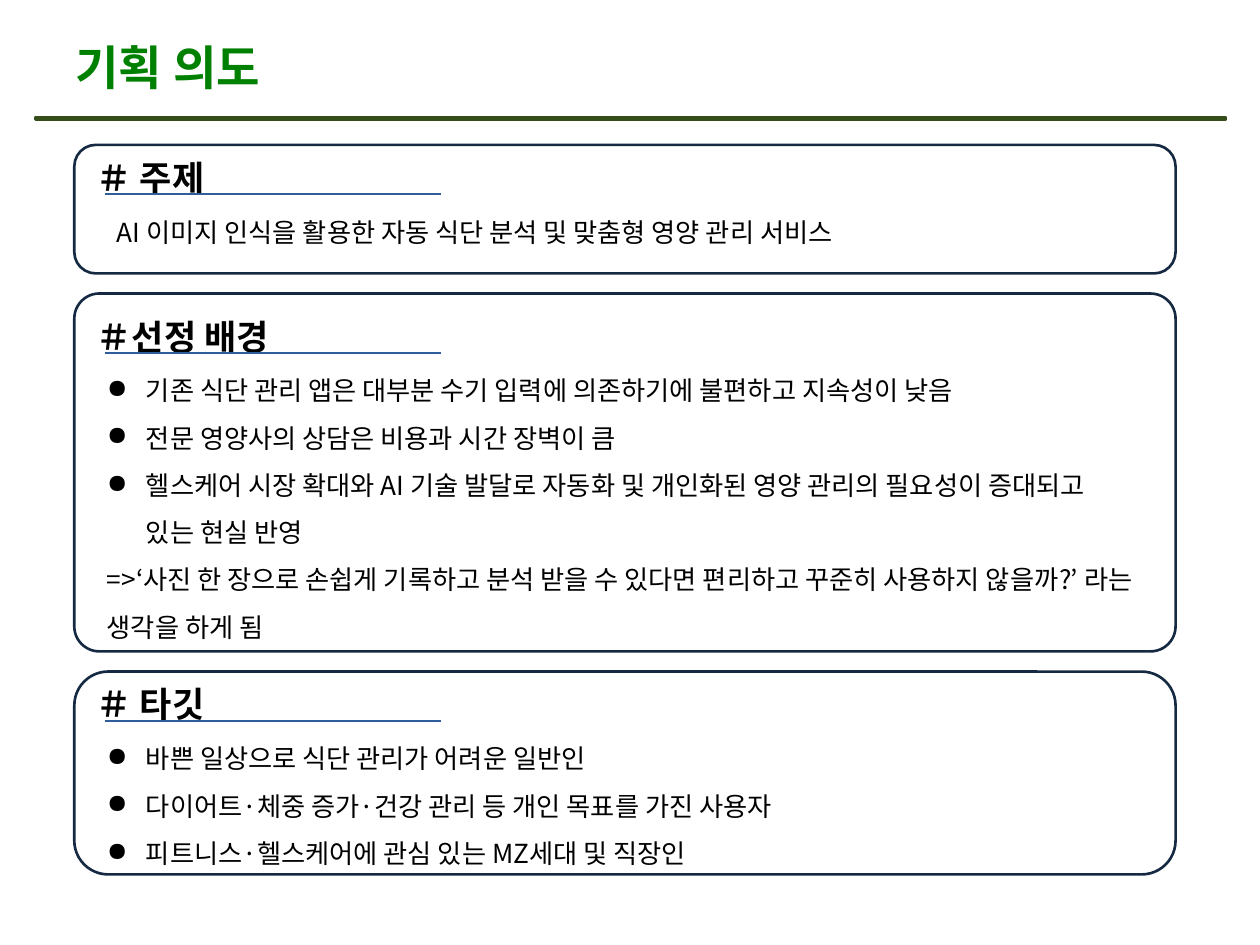
import dataclasses
import typing

import lxml.etree
import pptx
import pptx.dml.color
import pptx.enum.shapes
import pptx.enum.text
import pptx.oxml.ns
import pptx.util

Inches = pptx.util.Inches
FONT = "Noto Sans CJK KR"
COLORS = {
    "title": "008000", "text": "000000", "card": "FFFFFF", "edge": "152A42",
    "line": "2E5F9A", "bar": "699B37", "rim": "344D1B",
}
LEFT, WIDTH = 0.59, 8.74
BULLET = "●"
HANG = 0.31


@dataclasses.dataclass
class Card:
    head: str
    top: float
    height: float
    round: float
    head_top: float
    head_width: float
    rule: float
    left: float
    body_height: float
    points: typing.Sequence[str] = ()
    plain: typing.Sequence[str] = ()


CARDS = [
    Card("＃ 주제", 1.15, 1.02, 0.167, 1.03, 1.42, 1.54, 0.83, 0.43,
         plain=["AI 이미지 인식을 활용한 자동 식단 분석 및 맞춤형 영양 관리 서비스"]),
    Card("＃선정 배경", 2.33, 2.84, 0.07, 2.29, 1.89, 2.8, 0.75, 2.35,
         points=["기존 식단 관리 앱은 대부분 수기 입력에 의존하기에 불편하고 지속성이 낮음",
                 "전문 영양사의 상담은 비용과 시간 장벽이 큼",
                 "헬스케어 시장 확대와 AI 기술 발달로 자동화 및 개인화된 영양 관리의 "
                 "필요성이 증대되고 있는 현실 반영"],
         plain=["=>‘사진 한 장으로 손쉽게 기록하고 분석 받을 수 있다면 편리하고 "
                "꾸준히 사용하지 않을까?’ 라는 생각을 하게 됨"]),
    Card("＃ 타깃", 5.33, 1.61, 0.167, 5.2, 1.42, 5.72, 0.75, 1.22,
         points=["바쁜 일상으로 식단 관리가 어려운 일반인",
                 "다이어트·체중 증가·건강 관리 등 개인 목표를 가진 사용자",
                 "피트니스·헬스케어에 관심 있는 MZ세대 및 직장인"]),
]


def color(name: str) -> pptx.dml.color.RGBColor:
    return pptx.dml.color.RGBColor.from_string(COLORS[name])


def add_tag(parent, tag: str, **attrs: str):
    return lxml.etree.SubElement(parent, pptx.oxml.ns.qn(tag), attrs)


def add_bullet(para) -> None:
    props = para._p.get_or_add_pPr()
    props.set("marL", str(Inches(HANG)))
    props.set("indent", str(-Inches(HANG)))
    add_tag(add_tag(props, "a:buClr"), "a:srgbClr", val=COLORS["text"])
    add_tag(props, "a:buChar", char=BULLET)


def add_text(slide, box, plain=(), *, points=(), size=15, bold=False,
             tint="text", spacing=1.5, middle=False) -> None:
    """Draw the bulleted points, then the plain paragraphs."""
    frame = slide.shapes.add_textbox(*map(Inches, box)).text_frame
    frame.word_wrap = True
    if middle:
        frame.vertical_anchor = pptx.enum.text.MSO_ANCHOR.MIDDLE
    for i, words in enumerate([*points, *plain]):
        para = frame.add_paragraph() if i else frame.paragraphs[0]
        para.line_spacing = spacing
        if i < len(points):
            add_bullet(para)
        run = para.add_run()
        run.text = words
        run.font.size = pptx.util.Pt(size)
        run.font.bold = bold
        run.font.color.rgb = color(tint)
        run.font.name = FONT
        add_tag(run.font._element, "a:ea", typeface=FONT)


def add_box(slide, kind, box, fill: str, edge: str):
    shape = slide.shapes.add_shape(kind, *map(Inches, box))
    shape.shadow.inherit = False
    shape.fill.solid()
    shape.fill.fore_color.rgb = color(fill)
    shape.line.color.rgb = color(edge)
    shape.line.width = pptx.util.Pt(1.5)
    return shape


def add_rule(slide, top: float) -> None:
    rule = slide.shapes.add_connector(
        pptx.enum.shapes.MSO_CONNECTOR.STRAIGHT,
        Inches(0.83), Inches(top), Inches(3.5), Inches(top))
    rule.line.color.rgb = color("line")
    rule.line.width = pptx.util.Pt(1)
    add_tag(rule._element.spPr, "a:effectLst")


def add_card(slide, card: Card) -> None:
    kind = pptx.enum.shapes.MSO_SHAPE.ROUNDED_RECTANGLE
    frame = add_box(slide, kind, (LEFT, card.top, WIDTH, card.height),
                    "card", "edge")
    frame.adjustments[0] = card.round
    add_text(slide, (0.67, card.head_top, card.head_width, 0.6),
             [card.head], size=20, bold=True)
    add_rule(slide, card.rule)
    add_text(slide, (card.left, card.rule, 8.35, card.body_height),
             card.plain, points=card.points)


def main() -> None:
    deck = pptx.Presentation()
    deck.slide_width, deck.slide_height = Inches(10), Inches(7.5)
    slide = deck.slides.add_slide(deck.slide_layouts[6])

    # Title and the bar below it
    add_box(slide, pptx.enum.shapes.MSO_SHAPE.RECTANGLE,
            (0.28, 0.93, 9.45, 0.02), "bar", "rim")
    add_text(slide, (0.5, 0.3, 6.67, 0.46), ["기획 의도"], size=27, bold=True,
             tint="title", spacing=1.0, middle=True)

    # Topic, background and target cards
    for card in CARDS:
        add_card(slide, card)

    deck.save("out.pptx")


if __name__ == "__main__":
    main()
